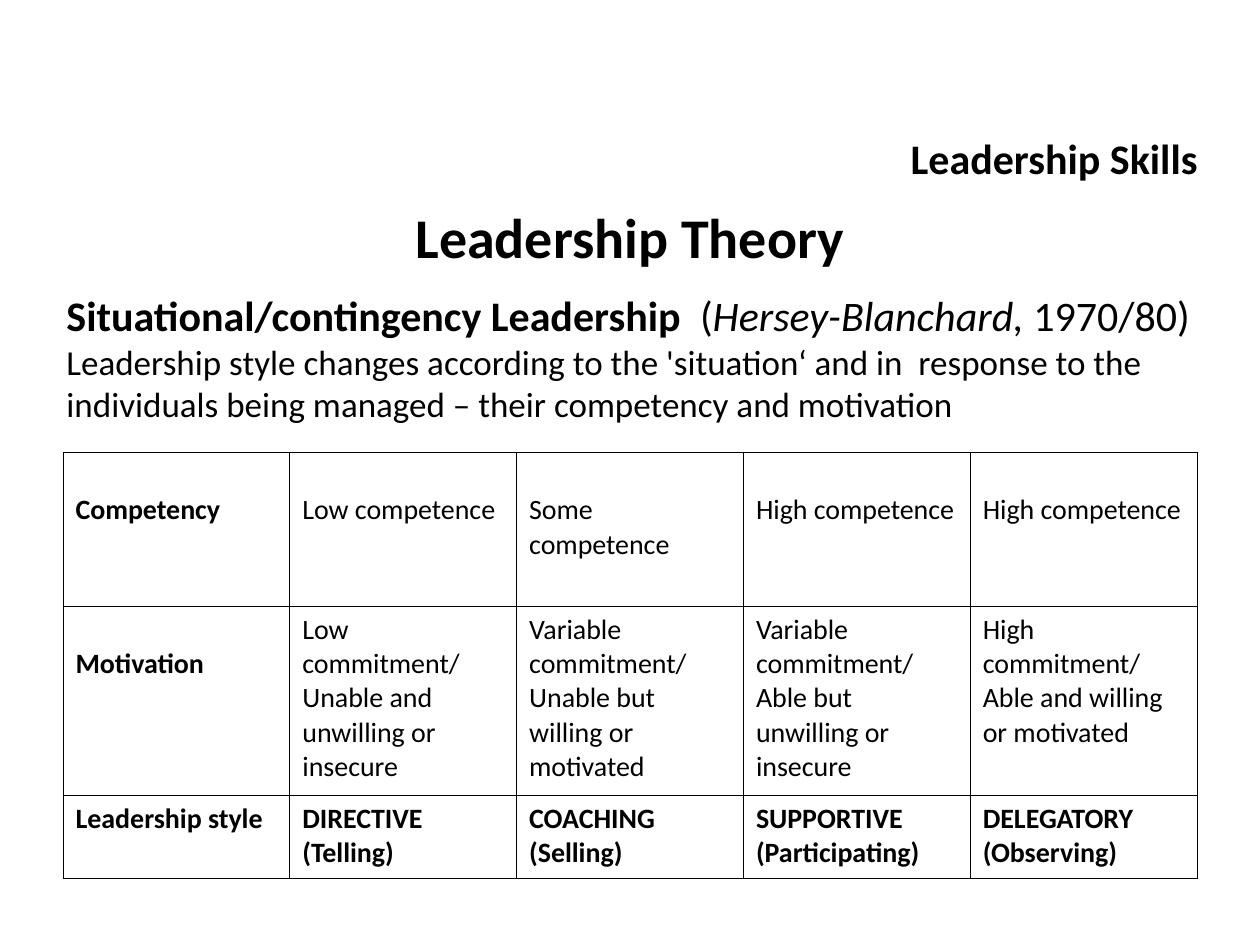
from lxml.etree import SubElement as Sub
from pptx import Presentation
from pptx.dml.color import RGBColor as Rgb
from pptx.enum.text import PP_ALIGN as Align
from pptx.oxml.ns import qn
from pptx.util import Cm, Pt

INK = {"text": "000000", "line": "000000"}


def write(para, text, size=16, bold=False, italic=False, align=Align.LEFT):
    para.alignment = align
    run = para.add_run()
    run.text = text
    font = run.font
    font.name, font.size = "Calibri", Pt(size)
    font.bold, font.italic = bold, italic
    font.color.rgb = Rgb.from_string(INK["text"])


def edge(cell):
    props = cell._tc.get_or_add_tcPr()
    for side in ("a:lnL", "a:lnR", "a:lnT", "a:lnB"):
        line = Sub(props, qn(side), w=str(Pt(0.45)))
        fill = Sub(line, qn("a:solidFill"))
        Sub(fill, qn("a:srgbClr"), val=INK["line"])


deck = Presentation()
deck.slide_width, deck.slide_height = Cm(25.4), Cm(19.05)
slide = deck.slides.add_slide(deck.slide_layouts[6])

boxes = {
    "topic": (18.11, 2.54, 6.3, 1.27),
    "theory": (1.09, 5.72, 23.6, 2.97),
    "title": (0, 3.96, 25.4, 1.63),
}
para = {}
for name, place in boxes.items():
    frame = slide.shapes.add_textbox(*map(Cm, place)).text_frame
    frame.word_wrap = name != "topic"
    para[name] = frame.paragraphs[0]

write(para["topic"], "Leadership Skills", size=24, bold=True)
write(para["title"], "Leadership Theory", size=32, bold=True, align=Align.CENTER)

theory = para["theory"]
write(theory, "Situational/contingency Leadership ", size=24, bold=True)
write(theory, " (", size=24)
write(theory, "Hersey-Blanchard, ", size=24, italic=True)
write(theory, "1970/80)", size=24)
theory.add_line_break()
write(theory, "Leadership style changes according to the 'situation‘ and in  response to the "
      "individuals being managed – their competency and motivation", size=20)

rows = [
    ["Competency", "Low competence", "Some competence", "High competence", "High competence"],
    ["Motivation",
     "Low commitment/\nUnable and unwilling or insecure",
     "Variable commitment/\nUnable but willing or motivated",
     "Variable commitment/ Able but unwilling or insecure",
     "High commitment/\nAble and willing or motivated"],
    ["Leadership style", "DIRECTIVE\n(Telling)", "COACHING\n(Selling)",
     "SUPPORTIVE\n(Participating)", "DELEGATORY\n(Observing)"],
]
tall = [3.1, 3.81, 1.68]
table = slide.shapes.add_table(
    len(rows), len(rows[0]), Cm(1.27), Cm(9.12), Cm(22.86), Cm(sum(tall))).table
table.first_row = table.horz_banding = False

for i, row in enumerate(rows):
    table.rows[i].height = Cm(tall[i])
    for j, text in enumerate(row):
        cell = table.cell(i, j)
        edge(cell)
        cell.fill.background()
        low = i == 0 or (i == 1 and j == 0)
        cell.margin_top = Cm(0.82 if low else 0.13)
        frame = cell.text_frame
        for k, part in enumerate(text.split("\n")):
            line = frame.add_paragraph() if k else frame.paragraphs[0]
            write(line, part, bold=i == 2 or j == 0)

deck.save("out.pptx")
